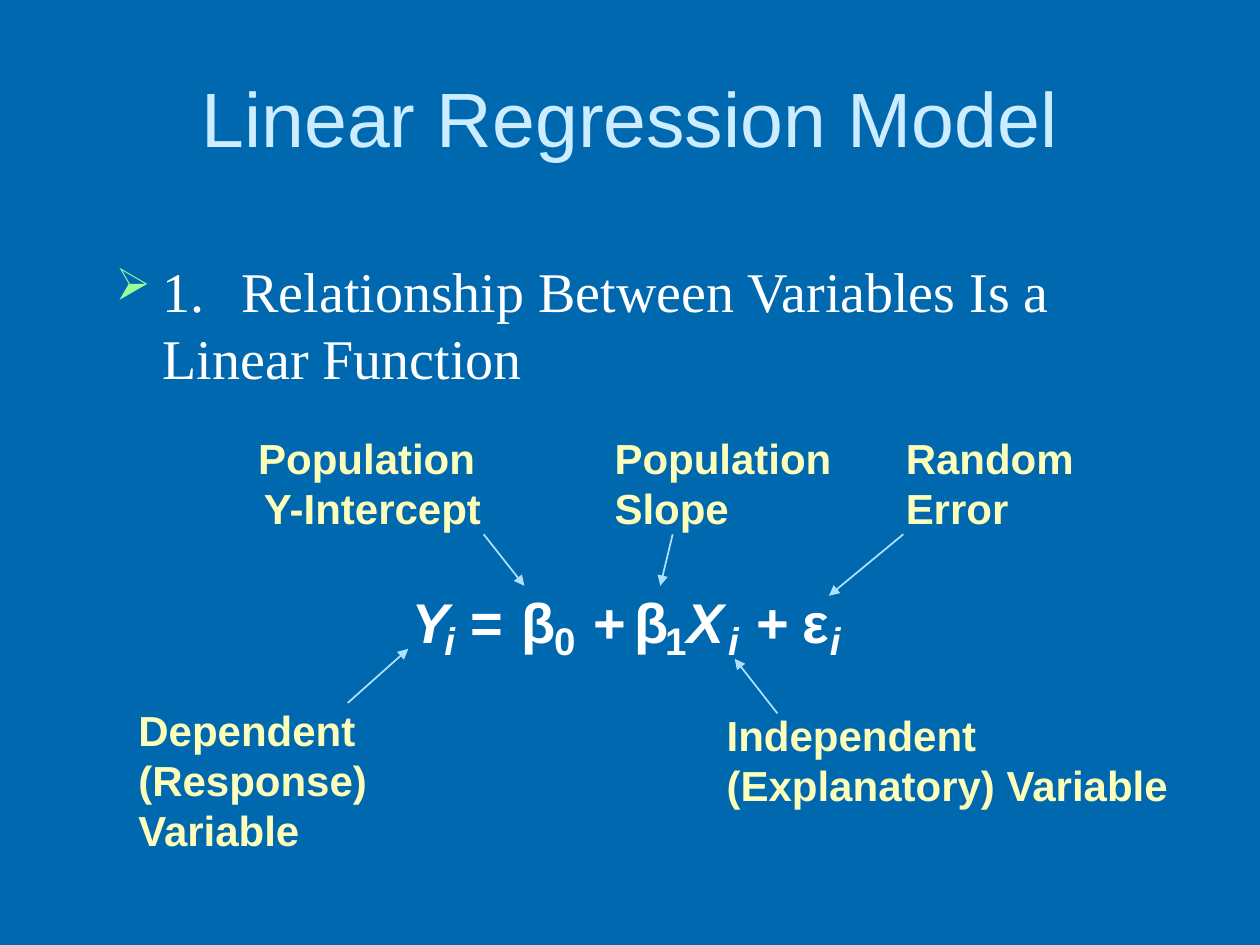
from pptx import Presentation
from pptx.dml.color import RGBColor
from pptx.enum import shapes, text
from pptx.oxml.ns import qn
from pptx.util import Cm, Pt
from lxml import etree

BLUE, PALE_BLUE, ARROW_BLUE = "0068AE", "CCECFF", "AFE1FF"
WHITE, CREAM, GREEN = "FFFFFF", "FCFEB9", "99FF99"

# symbol, left offset, width, subscript, italic
TERMS = [
    ("Y", 0, 1.27, False, True), ("i", 0.66, 0.71, True, True),
    ("=", 1.19, 1.4, False, False),
    ("β", 2.21, 1.12, False, False), ("0", 2.87, 0.94, True, False),
    ("+", 3.66, 1.17, False, False),
    ("β", 4.5, 1.12, False, False), ("1", 5.11, 0.94, True, False),
    ("X", 5.54, 1.27, False, True), ("i", 6.38, 0.71, True, True),
    ("+", 6.96, 1.17, False, False),
    ("ε", 7.87, 0.99, False, False), ("i", 8.43, 0.71, True, True),
]

# wording, box, arrow start within the box, arrow run, alignment
LABELS = [
    ("Dependent (Response) Variable", (2.54, 14.07, 6.12, 3.3),
     (4.47, 0.1), (1.22, -1.09), text.PP_ALIGN.LEFT),
    ("Independent (Explanatory) Variable", (14.4, 14.17, 10.36, 2.29),
     (1.27, 0.21), (-0.86, -1.1), text.PP_ALIGN.LEFT),
    ("Population Slope", (12.14, 8.59, 5, 2.29),
     (1.42, 2.18), (-0.25, 1.04), text.PP_ALIGN.LEFT),
    ("Population \nY-Intercept", (4.45, 8.59, 6.12, 2.29),
     (5.3, 2.18), (0.82, 1.04), text.PP_ALIGN.CENTER),
    ("Random Error", (18.01, 8.59, 4.42, 2.29),
     (0.2, 2.18), (-1.5, 1.24), text.PP_ALIGN.LEFT),
]


def color(hex_string):
    return RGBColor.from_string(hex_string)


def add_words(slide, box, words, size, hue, font="Arial", bold=False, italic=False,
              align=text.PP_ALIGN.LEFT, wrap=True, grow=False):
    """Add a text box, one run per line, and return its frame."""
    frame = slide.shapes.add_textbox(*map(Cm, box)).text_frame
    frame.word_wrap = wrap
    frame.auto_size = (text.MSO_AUTO_SIZE.SHAPE_TO_FIT_TEXT if grow
                       else text.MSO_AUTO_SIZE.NONE)
    paragraph = frame.paragraphs[0]
    paragraph.alignment = align
    for index, line in enumerate(words.split("\n")):
        if index:
            paragraph.add_line_break()
        run = paragraph.add_run()
        run.text = line
        run.font.name = font
        run.font.size = Pt(size)
        run.font.bold = bold
        run.font.italic = italic
        run.font.color.rgb = color(hue)
    return frame


def add_title(slide, box):
    frame = add_words(slide, box, "Linear Regression Model", 44, PALE_BLUE,
                      align=text.PP_ALIGN.CENTER)
    frame.vertical_anchor = text.MSO_ANCHOR.MIDDLE


def add_statement(slide, box):
    frame = add_words(slide, box,
                      "1.\tRelationship Between Variables Is a Linear Function",
                      32, WHITE, font="Times New Roman")
    paragraph = frame.paragraphs[0]
    paragraph.space_before = Pt(8)
    properties = paragraph._p.get_or_add_pPr()
    indent = Cm(0.95)
    properties.set("marL", str(indent))
    properties.set("indent", str(-indent))
    bullet_color = etree.SubElement(properties, qn("a:buClr"))
    etree.SubElement(bullet_color, qn("a:srgbClr"), val=GREEN)
    etree.SubElement(properties, qn("a:buSzPct"), val="80000")
    etree.SubElement(properties, qn("a:buChar"), char="➢")
    tabs = etree.SubElement(properties, qn("a:tabLst"))
    etree.SubElement(tabs, qn("a:tab"), pos=str(Cm(2.54)), algn="l")


def add_equation(slide, left, top):
    for symbol, offset, width, subscript, italic in TERMS:
        drop, height, size = (0.61, 1.17, 22) if subscript else (0, 1.6, 32)
        add_words(slide, (left + offset, top + drop, width, height), symbol, size,
                  WHITE, bold=True, italic=italic, wrap=False, grow=True)


def add_arrow(slide, x, y, run_x, run_y):
    arrow = slide.shapes.add_connector(shapes.MSO_CONNECTOR.STRAIGHT, Cm(x), Cm(y),
                                       Cm(x + run_x), Cm(y + run_y))
    arrow.line.color.rgb = color(ARROW_BLUE)
    arrow.line.width = Pt(1)
    etree.SubElement(arrow.line._get_or_add_ln(), qn("a:tailEnd"), type="triangle")
    etree.SubElement(arrow._element.spPr, qn("a:effectLst"))


def add_label(slide, box, words, start, run, align):
    """Add a term's name and the arrow from it to the equation."""
    frame = add_words(slide, box, words, 24, CREAM, bold=True, align=align, grow=True)
    frame.paragraphs[0].space_before = Pt(15)
    add_arrow(slide, box[0] + start[0], box[1] + start[1], *run)


def main():
    deck = Presentation()
    deck.slide_width, deck.slide_height = Cm(25.4), Cm(19.05)
    slide = deck.slides.add_slide(deck.slide_layouts[6])
    slide.background.fill.solid()
    slide.background.fill.fore_color.rgb = color(BLUE)

    add_equation(slide, 8.05, 11.71)
    add_title(slide, (1.27, 0.76, 22.86, 3.18))
    add_statement(slide, (2.08, 5.05, 21.82, 11.71))
    for words, box, start, run, align in LABELS:
        add_label(slide, box, words, start, run, align)
    deck.save("out.pptx")


if __name__ == "__main__":
    main()
